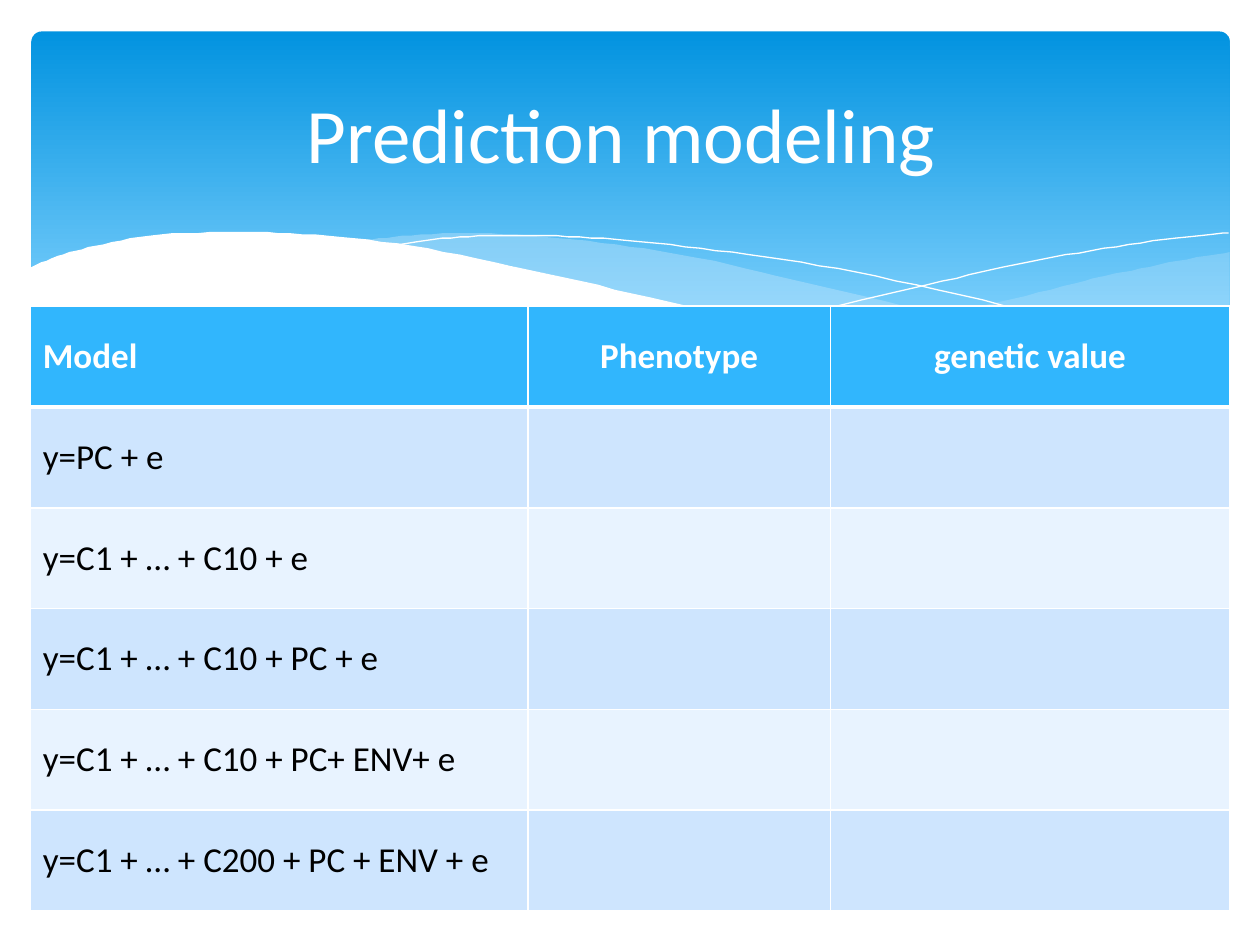
from lxml import etree
from pptx import Presentation
from pptx import util as u
from pptx.dml.color import RGBColor
from pptx.enum import shapes, text
from pptx.oxml import ns

EMU_PER_PX = 9144
FONT = "Calibri"
COLORS = {
    "white": "FFFFFF",
    "black": "000000",
    "banner_top": "0293E0",
    "banner_bottom": "83D3FE",
    "wave": "C6E7FC",
    "header": "31B6FD",
    "band_dark": "CEE5FE",
    "band_light": "E8F3FF",
}

RIGHT_WAVE = [(976, 200), (935, 207), (891, 216), (861, 223), (805, 237),
              (753, 248), (706, 257), (661, 265)]
RIGHT_WAVE_BASE = [(661, 265), (705, 271), (757, 276), (803, 278), (854, 276),
                   (897, 270), (935, 262), (976, 247)]
MIDDLE_WAVE = [(286, 191), (313, 188), (361, 185), (420, 187), (489, 194),
               (555, 205), (629, 222), (706, 240), (775, 254), (837, 265),
               (893, 273)]
MIDDLE_WAVE_BASE = [(893, 273), (848, 277), (785, 278), (722, 274), (650, 264),
                    (566, 248), (491, 232), (427, 216), (362, 203), (286, 191)]
FALLING_LINE = [(309, 195), (344, 190), (387, 187), (433, 187), (489, 190),
                (556, 197), (636, 208), (727, 226), (831, 251), (907, 272)]
RISING_LINE = [(613, 257), (672, 241), (748, 223), (806, 210), (866, 199),
               (924, 190), (975, 185)]
FRONT_WAVE = [(23, 213), (46, 203), (76, 195), (119, 187), (177, 184),
              (230, 185), (292, 190), (365, 202), (447, 220), (529, 239),
              (603, 254), (688, 268), (761, 275), (823, 277), (887, 271),
              (930, 262), (977, 246)]
FRONT_WAVE_BASE = [(977, 329), (23, 329)]

COLUMN_WIDTHS = [395, 240, 317]
ROW_HEIGHT = 80
HEADINGS = ["Model", "Phenotype", "genetic value"]
MODELS = [
    "y=PC + e",
    "y=C1 + … + C10 + e",
    "y=C1 + … + C10 + PC + e",
    "y=C1 + … + C10 + PC+ ENV+ e",
    "y=C1 + … + C200 + PC + ENV + e",
]


def px(*lengths):
    return [u.Emu(length * EMU_PER_PX) for length in lengths]


def rgb(name):
    return RGBColor.from_string(COLORS[name])


def smooth(knots, steps=6):
    padded = [knots[0], *knots, knots[-1]]
    points = [knots[0]]
    for a, b, c, d in zip(padded, padded[1:], padded[2:], padded[3:]):
        for step in range(1, steps + 1):
            t = step / steps
            points.append(tuple(
                (2 * q + (r - p) * t + (2 * p - 5 * q + 4 * r - s) * t ** 2
                 + (3 * q - p - 3 * r + s) * t ** 3) / 2
                for p, q, r, s in zip(a, b, c, d)))
    return points


def add_outline(slide, points, closed):
    builder = slide.shapes.build_freeform(*points[0], scale=EMU_PER_PX)
    builder.add_line_segments(points[1:], close=closed)
    outline = builder.convert_to_shape()
    outline.shadow.inherit = False
    return outline


def add_wave(slide, points, color, opacity=100):
    wave = add_outline(slide, points, True)
    wave.line.fill.background()
    wave.fill.solid()
    wave.fill.fore_color.rgb = rgb(color)
    if opacity < 100:
        tint = wave.fill._xPr.find(".//" + ns.qn("a:srgbClr"))
        etree.SubElement(tint, ns.qn("a:alpha"), val=str(opacity * 1000))


def add_curve(slide, knots):
    curve = add_outline(slide, smooth(knots), False)
    curve.fill.background()
    curve.line.color.rgb = rgb("white")
    curve.line.width = u.Pt(0)


def add_banner(slide):
    banner = slide.shapes.add_shape(
        shapes.MSO_SHAPE.ROUNDED_RECTANGLE, *px(25, 25, 951, 270))
    banner.adjustments[0] = 0.03
    banner.shadow.inherit = False
    banner.line.fill.background()
    banner.fill.gradient()
    banner.fill.gradient_angle = 270
    top, bottom = banner.fill.gradient_stops
    top.color.rgb = rgb("banner_top")
    bottom.color.rgb = rgb("banner_bottom")
    bottom.position = 0.9


def style_text(para, size, color, bold=False, centered=False):
    para.font.name = FONT
    para.font.size = u.Pt(size)
    para.font.bold = bold
    para.font.color.rgb = rgb(color)
    if centered:
        para.alignment = text.PP_ALIGN.CENTER


def add_title(slide, wording):
    box = slide.shapes.add_textbox(*px(50, 37, 900, 137))
    frame = box.text_frame
    frame.word_wrap = True
    frame.vertical_anchor = text.MSO_ANCHOR.MIDDLE
    para = frame.paragraphs[0]
    para.text = wording
    style_text(para, 44, "white", centered=True)


def set_borders(cell, top, bottom):
    properties = cell._tc.get_or_add_tcPr()
    for side, points in (("L", 1), ("R", 1), ("T", top), ("B", bottom)):
        border = etree.SubElement(
            properties, ns.qn("a:ln" + side), w=str(u.Pt(points)))
        fill = etree.SubElement(border, ns.qn("a:solidFill"))
        etree.SubElement(fill, ns.qn("a:srgbClr"), val=COLORS["white"])


def add_model_table(slide):
    rows = [HEADINGS] + [[model, "", ""] for model in MODELS]
    table = slide.shapes.add_table(
        len(rows), len(HEADINGS),
        *px(24, 243, sum(COLUMN_WIDTHS), ROW_HEIGHT * len(rows))).table
    for column, width in zip(table.columns, COLUMN_WIDTHS):
        column.width = px(width)[0]
    for i, row in enumerate(rows):
        table.rows[i].height = px(ROW_HEIGHT)[0]
        is_header = i == 0
        band = "band_dark" if i % 2 else "band_light"
        for j, wording in enumerate(row):
            cell = table.cell(i, j)
            set_borders(cell, 3 if i == 1 else 1, 3 if is_header else 1)
            cell.fill.solid()
            cell.fill.fore_color.rgb = rgb("header" if is_header else band)
            cell.vertical_anchor = text.MSO_ANCHOR.MIDDLE
            para = cell.text_frame.paragraphs[0]
            para.text = wording
            style_text(para, 20, "white" if is_header else "black",
                       bold=is_header, centered=j > 0)


def main():
    deck = Presentation()
    deck.slide_width, deck.slide_height = px(1000, 750)
    slide = deck.slides.add_slide(deck.slide_layouts[6])
    add_banner(slide)
    add_wave(slide, smooth(RIGHT_WAVE) + smooth(RIGHT_WAVE_BASE), "wave", 29)
    add_wave(slide, smooth(MIDDLE_WAVE) + smooth(MIDDLE_WAVE_BASE), "wave", 40)
    add_curve(slide, FALLING_LINE)
    add_curve(slide, RISING_LINE)
    add_wave(slide, smooth(FRONT_WAVE) + FRONT_WAVE_BASE, "white")
    add_model_table(slide)
    add_title(slide, "Prediction modeling ")
    deck.save("out.pptx")


if __name__ == "__main__":
    main()
